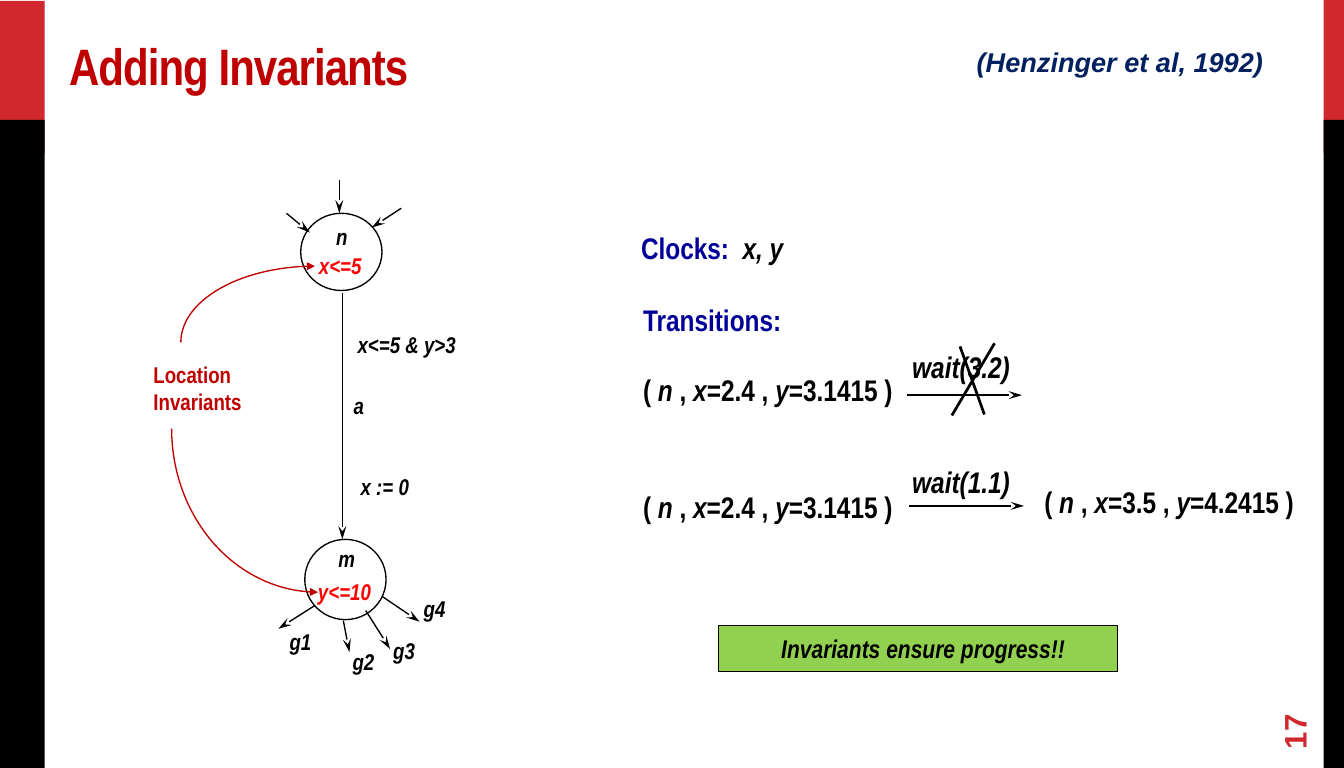
import math

from lxml import etree
from pptx import Presentation
from pptx.dml.color import RGBColor
from pptx.enum.shapes import MSO_CONNECTOR, MSO_SHAPE
from pptx.enum.text import MSO_ANCHOR, MSO_AUTO_SIZE, PP_ALIGN
from pptx.oxml.ns import qn
from pptx.util import Emu, Pt

PX = 9525
RECTANGLE = MSO_SHAPE.RECTANGLE
OVAL = MSO_SHAPE.OVAL
STRAIGHT = MSO_CONNECTOR.STRAIGHT
LEFT, CENTER = PP_ALIGN.LEFT, PP_ALIGN.CENTER
TOP, MIDDLE, BOTTOM = MSO_ANCHOR.TOP, MSO_ANCHOR.MIDDLE, MSO_ANCHOR.BOTTOM
FIXED, GROW = MSO_AUTO_SIZE.NONE, MSO_AUTO_SIZE.SHAPE_TO_FIT_TEXT

NARROW, WIDE = "Arial Narrow", "Arial"
BLACK, RED, CRIMSON = "000000", "FF0000", "C00000"
SIDE_RED, NAVY, HEADING_BLUE, GREEN = "D1282E", "002060", "000099", "92D050"
SMALL, LARGE = 16.8, 22


def px(value):
    return Emu(round(value * PX))


def rgb(color):
    return RGBColor.from_string(color)


def apply_format(target, values):
    for name, value in values.items():
        setattr(target, name, value)


def add_arrowhead(line, kind, length):
    etree.SubElement(line._get_or_add_ln(), qn("a:tailEnd"),
                     type=kind, w="med", len=length)


def add_block(slide, kind, box, fill=None, outline=None):
    block = slide.shapes.add_shape(kind, *map(px, box))
    block.shadow.inherit = False
    if fill:
        block.fill.solid()
        block.fill.fore_color.rgb = rgb(fill)
    else:
        block.fill.background()
    if outline:
        block.line.color.rgb = rgb(outline)
        block.line.width = Pt(1)
    else:
        block.line.fill.background()


def add_line(slide, start, end, width=1, arrow=True):
    line = slide.shapes.add_connector(STRAIGHT, *map(px, start + end))
    line.line.color.rgb = rgb(BLACK)
    line.line.width = Pt(width)
    if arrow:
        add_arrowhead(line.line, "stealth", "lg")
    etree.SubElement(line._element.spPr, qn("a:effectLst"))


def add_quarter_arc(slide, center, radii, start_angle, end_angle, steps=30):
    points = []
    for step in range(steps + 1):
        angle = math.radians(start_angle + (end_angle - start_angle) * step / steps)
        points.append((px(center[0] + radii[0] * math.cos(angle)),
                       px(center[1] + radii[1] * math.sin(angle))))
    outline = slide.shapes.build_freeform(*points[0])
    outline.add_line_segments(points[1:], close=False)
    arc = outline.convert_to_shape()
    arc.shadow.inherit = False
    arc.fill.background()
    arc.line.color.rgb = rgb(CRIMSON)
    arc.line.width = Pt(1)
    add_arrowhead(arc.line, "triangle", "med")


def add_tab_stop(paragraph, position):
    stops = etree.SubElement(paragraph._p.get_or_add_pPr(), qn("a:tabLst"))
    etree.SubElement(stops, qn("a:tab"), pos=str(px(position)), algn="l")


def write_text(shape, text, size, color, italic_color=None, font=NARROW,
               align=LEFT, anchor=TOP, insets=(10, 5), wrap=False,
               auto_size=GROW, tab_stop=None):
    frame = shape.text_frame
    side, edge = map(px, insets)
    apply_format(frame, {
        "margin_left": side, "margin_right": side,
        "margin_top": edge, "margin_bottom": edge,
        "word_wrap": wrap, "auto_size": auto_size, "vertical_anchor": anchor,
    })
    colors = (color, italic_color or color)
    for row, content in enumerate(text.split("\n")):
        paragraph = frame.add_paragraph() if row else frame.paragraphs[0]
        paragraph.alignment = align
        if tab_stop:
            add_tab_stop(paragraph, tab_stop)
        for part, words in enumerate(content.split("*")):
            if words:
                run = paragraph.add_run()
                run.text = words
                apply_format(run.font, {"name": font, "size": Pt(size),
                                        "bold": True, "italic": part % 2 == 1})
                run.font.color.rgb = rgb(colors[part % 2])


def add_label(slide, box, text, size=SMALL, color=BLACK, **options):
    label = slide.shapes.add_textbox(*map(px, box))
    write_text(label, text, size, color, **options)
    return label


def add_title(slide):
    title = slide.shapes.title
    apply_format(title, {"left": px(57), "top": px(22),
                         "width": px(857), "height": px(78)})
    write_text(title, "Adding Invariants", 37.8, CRIMSON, anchor=BOTTOM,
               insets=(11, 6), wrap=True, auto_size=FIXED)
    for run in title.text_frame.paragraphs[0].runs:
        run.font._element.set("spc", "-70")


def add_side_bars(slide):
    for left, top, width in ((1303, 0, 20), (0, 1, 44)):
        add_block(slide, RECTANGLE, (left, top, width, 151), SIDE_RED)
        add_block(slide, RECTANGLE, (left, 118, width, 638), BLACK)


def add_automaton(slide):
    for location in ((296, 210, 80, 76), (300, 531, 80, 79)):
        add_block(slide, OVAL, location, outline=BLACK)
    for start, end in (
        ((337, 288), (337, 531)),
        ((282, 210), (305, 229)),
        ((395, 205), (366, 224)),
        ((334, 177), (334, 210)),
        ((310, 596), (274, 619)),
        ((338, 611), (344, 642)),
        ((360, 601), (384, 639)),
        ((376, 587), (413, 612)),
    ):
        add_line(slide, start, end)
    for left, top, width, text, color in (
        (321, 214, 34, "n", BLACK),
        (323, 531, 39, "m", BLACK),
        (338, 381, 33, "a", BLACK),
        (342, 321, 121, "x<=5 & y>3", BLACK),
        (345, 460, 71, "x := 0", BLACK),
        (304, 243, 65, "x<=5", RED),
        (303, 564, 76, "y<=10", RED),
        (275, 613, 45, "g1", BLACK),
        (337, 633, 45, "g2", BLACK),
        (377, 622, 45, "g3", BLACK),
        (407, 580, 45, "g4", BLACK),
    ):
        add_label(slide, (left, top, width, 37), f"*{text}*", color=color)


def add_invariant_pointers(slide):
    add_label(slide, (141, 350, 111, 64), "Location\nInvariants", color=CRIMSON)
    add_quarter_arc(slide, (310, 337), (132, 75), 180, 270)
    add_quarter_arc(slide, (313, 422), (144, 161), 180, 90)


def add_transitions(slide):
    state = "( *n *, *x*=2.4 ,* y*=3.1415 )"
    add_label(slide, (621, 221, 162, 46), "Clocks:\t*x, y*", LARGE, HEADING_BLUE,
              italic_color=BLACK, tab_stop=100)
    add_label(slide, (623, 292, 157, 46), "Transitions:", LARGE, HEADING_BLUE)
    for left, top, width, text in (
        (623, 361, 281, state),
        (888, 338, 117, "*wait(3.2)*"),
        (623, 476, 288, state),
        (888, 451, 117, "*wait(1.1)*"),
        (1018, 471, 270, "( *n* , *x*=3.5 , *y*=4.2415 )"),
    ):
        add_label(slide, (left, top, width, 46), text, LARGE)
    add_line(slide, (893, 389), (1006, 389))
    add_line(slide, (895, 498), (1008, 498))
    add_line(slide, (937, 409), (979, 338), width=2, arrow=False)
    add_line(slide, (945, 341), (969, 408), width=2, arrow=False)


def add_conclusion(slide):
    add_block(slide, RECTANGLE, (707, 616, 393, 45), GREEN, BLACK)
    add_label(slide, (729, 618, 360, 42), "*Invariants ensure progress!!*", 18.9,
              align=CENTER, wrap=True)


def main():
    deck = Presentation()
    deck.slide_width, deck.slide_height = px(1323), px(756)
    slide = deck.slides.add_slide(deck.slide_layouts[5])
    add_side_bars(slide)
    add_title(slide)
    add_automaton(slide)
    add_invariant_pointers(slide)
    add_transitions(slide)
    add_conclusion(slide)
    add_label(slide, (951, 40, 303, 42), "*(Henzinger et al, 1992)*", 20, NAVY,
              font=WIDE, align=CENTER)
    page_number = add_label(slide, (1235, 692, 78, 33), "17", 23, SIDE_RED,
                            font=WIDE, anchor=MIDDLE, insets=(10, 6),
                            wrap=True, auto_size=FIXED)
    page_number.rotation = 270
    deck.save("out.pptx")


if __name__ == "__main__":
    main()
